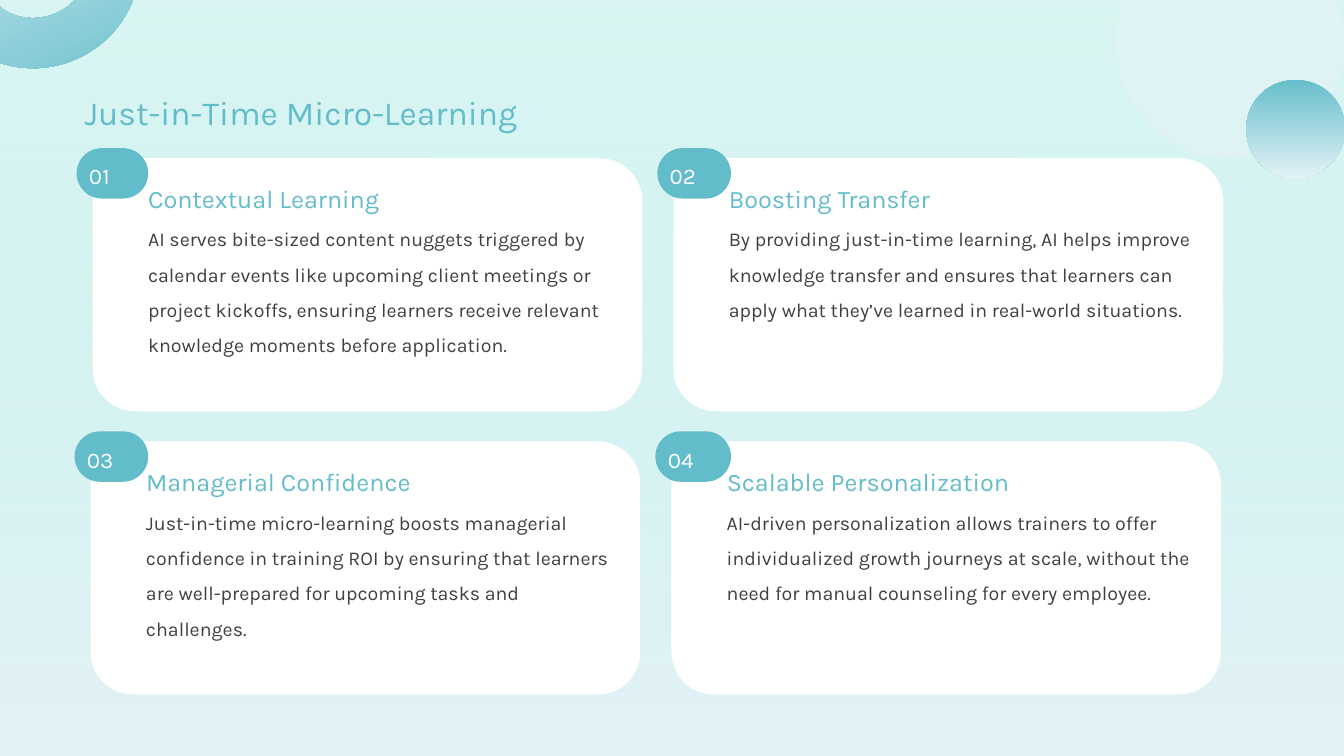
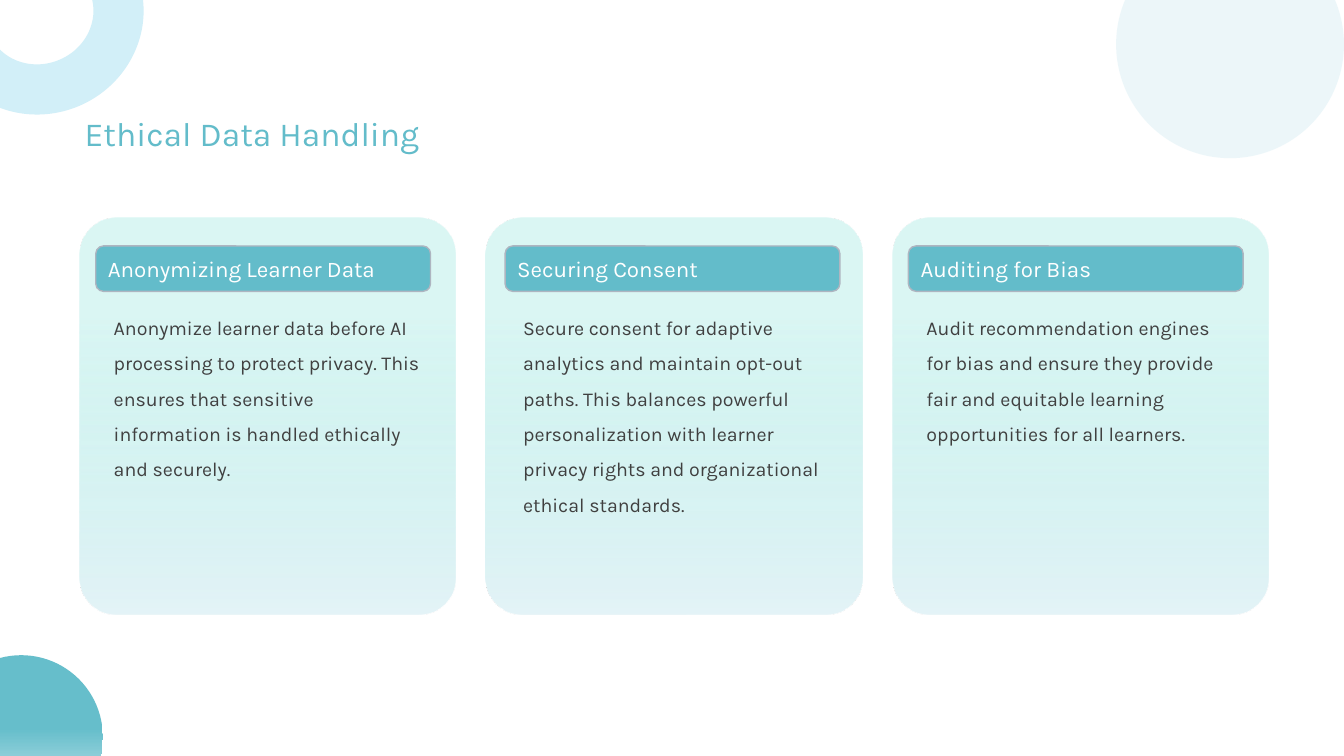
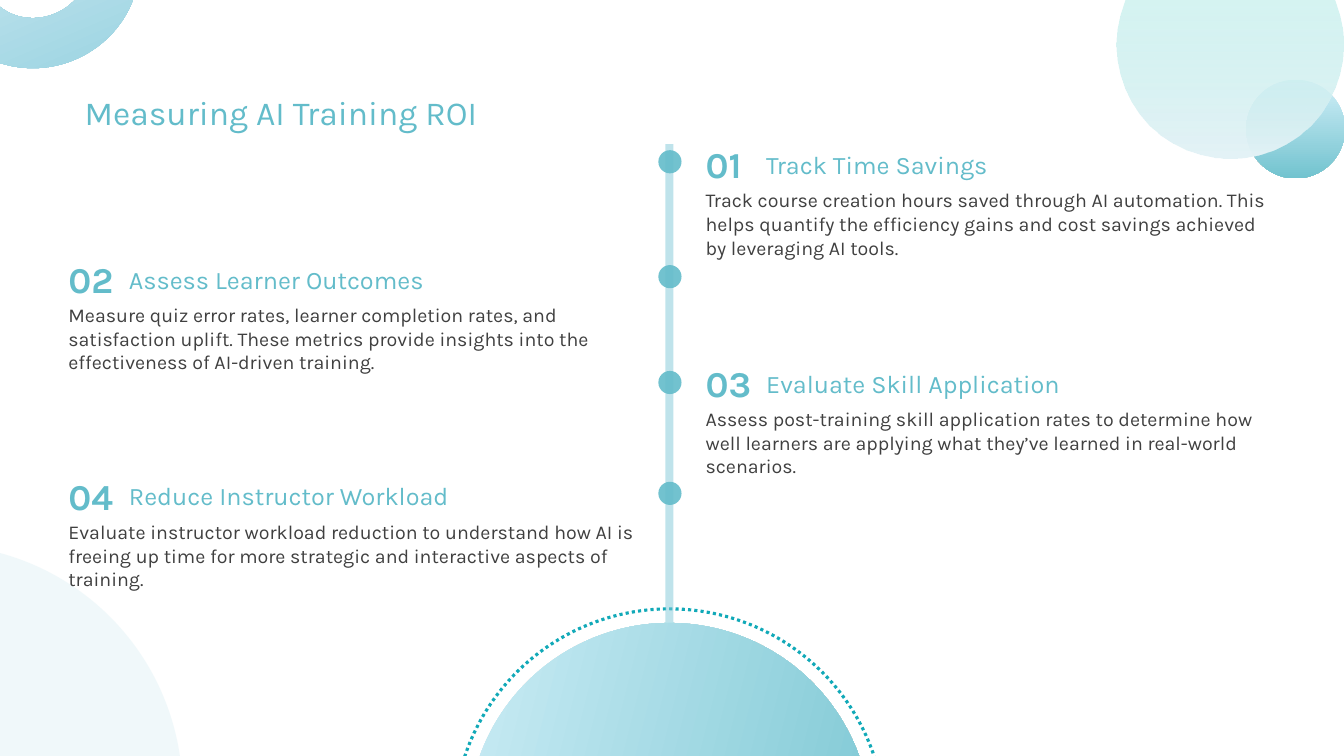
from lxml.etree import SubElement as Sub
from pptx import Presentation
from pptx.dml.color import RGBColor as RGB
from pptx.enum.dml import MSO_LINE as Dash
from pptx.enum.shapes import MSO_SHAPE as Kind
from pptx.enum.text import MSO_ANCHOR as Anchor, MSO_AUTO_SIZE as Auto, PP_ALIGN as Align
from pptx.oxml.ns import qn
from pptx.util import Inches, Pt

TEAL = RGB(0x63, 0xBC, 0xCA)
SEA = RGB(0x66, 0xBE, 0xCB)
DEEP = RGB(0x72, 0xC3, 0xCF)
MIST = RGB(0x91, 0xCF, 0xDF)
SKY = RGB(0xD2, 0xEF, 0xF8)
ICE = RGB(0xE4, 0xF3, 0xF7)
MINT = RGB(0xA8, 0xEA, 0xE4)
RAIL = RGB(0x80, 0xC8, 0xD8)
DOTS = RGB(0x11, 0xA9, 0xB8)
EDGE = RGB(0xAE, 0xB5, 0xC0)
INK = RGB(0x40, 0x40, 0x40)
WHITE = RGB(0xFF, 0xFF, 0xFF)

WASH = [(0, MINT, 42), (100, ICE, 100)]
PANEL = [(0, MINT, 42), (25, MINT, 42), (100, ICE, 100)]
FADE = [(0, SEA, 100), (100, ICE, 100)]
DOME = [(0, SEA, 100), (45, SEA, 100), (100, ICE, 100)]
HAZE = [(0, MIST, 100), (100, ICE, 100)]
GLOW = [(0, SKY, 100), (100, DEEP, 100)]

STYLES = {
    "title": (TEAL, {"size": Pt(24)}),
    "head": (TEAL, {"size": Pt(18)}),
    "body": (INK, {"size": Pt(14)}),
    "label": (WHITE, {"size": Pt(16)}),
    "count": (TEAL, {"size": Pt(26), "bold": True}),
}

DISC = (11.07, -0.69, 2.26, 2.26)
BALL = (12.36, 0.79, 0.98, 0.98)
PILL = (0.05, 0.1, 0.1, 0.05)

LEARN = [
    ("Contextual Learning", "AI serves bite-sized content nuggets triggered by calendar events like upcoming client meetings or project kickoffs, ensuring learners receive relevant knowledge moments before application."),
    ("Boosting Transfer", "By providing just-in-time learning, AI helps improve knowledge transfer and ensures that learners can apply what they’ve learned in real-world situations."),
    ("Managerial Confidence", "Just-in-time micro-learning boosts managerial confidence in training ROI by ensuring that learners are well-prepared for upcoming tasks and challenges."),
    ("Scalable Personalization", "AI-driven personalization allows trainers to offer individualized growth journeys at scale, without the need for manual counseling for every employee."),
]

ETHICS = [
    (0.95, "Anonymizing Learner Data", "Anonymize learner data before AI processing to protect privacy. This ensures that sensitive information is handled ethically and securely."),
    (5.01, "Securing Consent", "Secure consent for adaptive analytics and maintain opt-out paths. This balances powerful personalization with learner privacy rights and organizational ethical standards."),
    (9.01, "Auditing for Bias", "Audit recommendation engines for bias and ensure they provide fair and equitable learning opportunities for all learners."),
]

METRICS = [
    (1.36, 1.49, "Track Time Savings", "Track course creation hours saved through AI automation. This helps quantify the efficiency gains and cost savings achieved by leveraging AI tools."),
    (2.5, 2.63, "Assess Learner Outcomes", "Measure quiz error rates, learner completion rates, and satisfaction uplift. These metrics provide insights into the effectiveness of AI-driven training."),
    (3.53, 3.68, "Evaluate Skill Application", "Assess post-training skill application rates to determine how well learners are applying what they’ve learned in real-world scenarios."),
    (4.65, 4.78, "Reduce Instructor Workload", "Evaluate instructor workload reduction to understand how AI is freeing up time for more strategic and interactive aspects of training."),
]


def fade(color, alpha):
    if alpha < 100:
        Sub(color, qn("a:alpha"), val=str(alpha * 1000))


def paint(shape, fill, alpha):
    if fill is None:
        shape.fill.background()
    elif isinstance(fill, list):
        shape.fill.gradient()
        shape.fill.gradient_angle = 270
        stops = shape._element.spPr.find(".//" + qn("a:gsLst"))
        for old in list(stops):
            stops.remove(old)
        for pos, tint, part in fill:
            stop = Sub(stops, qn("a:gs"), pos=str(pos * 1000))
            fade(Sub(stop, qn("a:srgbClr"), val=str(tint)), part)
    else:
        shape.fill.solid()
        shape.fill.fore_color.rgb = fill
        fade(shape._element.spPr.find(".//" + qn("a:srgbClr")), alpha)


def draw(slide, kind, box, fill=None, alpha=100, adj=(), turn=0, line=None):
    shape = slide.shapes.add_shape(kind, *map(Inches, box))
    shape.shadow.inherit = False
    shape.rotation = turn
    for spot, value in enumerate(adj):
        shape.adjustments[spot] = value
    paint(shape, fill, alpha)
    if line:
        shape.line.color.rgb, shape.line.width = line
    else:
        shape.line.fill.background()
    return shape


def put(shape, text, style, space=None, pads=None):
    frame = shape.text_frame
    frame.word_wrap = True
    if pads:
        for side, pad in zip(("left", "top", "right", "bottom"), pads):
            setattr(frame, "margin_" + side, Inches(pad))
    para = frame.paragraphs[0]
    para.alignment = Align.LEFT
    if space:
        para.line_spacing = space
    run = para.add_run()
    run.text = text
    color, form = STYLES[style]
    run.font.name = "Karla"
    run.font.color.rgb = color
    for name, value in form.items():
        setattr(run.font, name, value)
    return frame


def write(slide, box, text, style, space=None):
    return put(slide.shapes.add_textbox(*map(Inches, box)), text, style, space)


def label(shape, text, pads=None):
    put(shape, text, "label", pads=pads).vertical_anchor = Anchor.MIDDLE


def frame(slide, title, top, ring, spot, disc, alpha=100):
    draw(slide, Kind.BLOCK_ARC, (*spot, 2.07, 1.99), ring, adj=(108, 0, 0.25), turn=157)
    write(slide, (0.74, top, 11.39, 0.4), title, "title").auto_size = Auto.SHAPE_TO_FIT_TEXT
    draw(slide, Kind.OVAL, DISC, disc, alpha)


def learn(slide):
    draw(slide, Kind.RECTANGLE, (0, 0, 13.33, 7.5), WASH)
    frame(slide, "Just-in-Time Micro-Learning", 0.86, FADE, (-0.68, -1.32), ICE, 67)
    draw(slide, Kind.OVAL, BALL, FADE)
    for i, (head, body) in enumerate(LEARN):
        row, col = divmod(i, 2)
        left, top = 0.92 + 5.76 * col - 0.02 * row, 1.57 + 2.81 * row
        draw(slide, Kind.ROUNDED_RECTANGLE, (left, top, 5.45, 2.51), WHITE, adj=[0.167])
        pill = draw(slide, Kind.ROUNDED_RECTANGLE,
                    (left - 0.16, top - 0.1, 0.71 + 0.02 * (row + col), 0.5), TEAL, adj=[0.5])
        label(pill, f"{i + 1:02}", PILL)
        write(slide, (left + 0.45, top + 0.2, 3.92, 0.37), head, "head")
        write(slide, (left + 0.45, top + 0.52, 4.87, 1.85), body, "body", 1.5)


def ethics(slide):
    draw(slide, Kind.OVAL, (-0.6, 6.5, 1.62, 1.62), DOME)
    frame(slide, "Ethical Data Handling", 1.07, SKY, (-0.64, -0.86), ICE, 67)
    for i, (left, head, body) in enumerate(ETHICS):
        draw(slide, Kind.ROUNDED_RECTANGLE, (0.79 + 4.03 * i, 2.16, 3.73, 3.94), PANEL, adj=[0.1])
        bar = draw(slide, Kind.ROUNDED_RECTANGLE, (left, 2.44, 3.32, 0.45), TEAL,
                   adj=[0.167], line=(EDGE, Pt(1)))
        label(bar, head)
        write(slide, (left + 0.08, 2.97, 3.24, 2.85), body, "body", 1.5)


def metrics(slide):
    draw(slide, Kind.OVAL, BALL, GLOW)
    frame(slide, "Measuring AI Training ROI", 0.86, HAZE, (-0.68, -1.32), WASH)
    halo = draw(slide, Kind.OVAL, (4.5, 6.04, 4.28, 4.28), line=(DOTS, Pt(2.25)))
    halo.line.dash_style = Dash.ROUND_DOT
    draw(slide, Kind.OVAL, (4.64, 6.18, 4, 4), GLOW, turn=284)
    draw(slide, Kind.OVAL, (-3.1, 5.4, 4.91, 4.91), ICE, 55)
    draw(slide, Kind.RECTANGLE, (6.6, 1.43, 0.08, 4.74), RAIL, 50)
    for i, (top, dot, head, body) in enumerate(METRICS):
        left = 0.58 if i % 2 else 6.9
        draw(slide, Kind.OVAL, (6.53, dot, 0.23, 0.23), TEAL, 90)
        write(slide, (left, top, 0.71, 0.5), f"{i + 1:02}", "count")
        write(slide, (left + 0.6, top + 0.07, 3.92, 0.37), head, "head")
        write(slide, (left, top + 0.46, 5.87, 0.93), body, "body")


def main():
    deck = Presentation()
    deck.slide_width, deck.slide_height = Inches(13.33), Inches(7.5)
    for build in (learn, ethics, metrics):
        build(deck.slides.add_slide(deck.slide_layouts[6]))
    deck.save("out.pptx")


if __name__ == "__main__":
    main()
